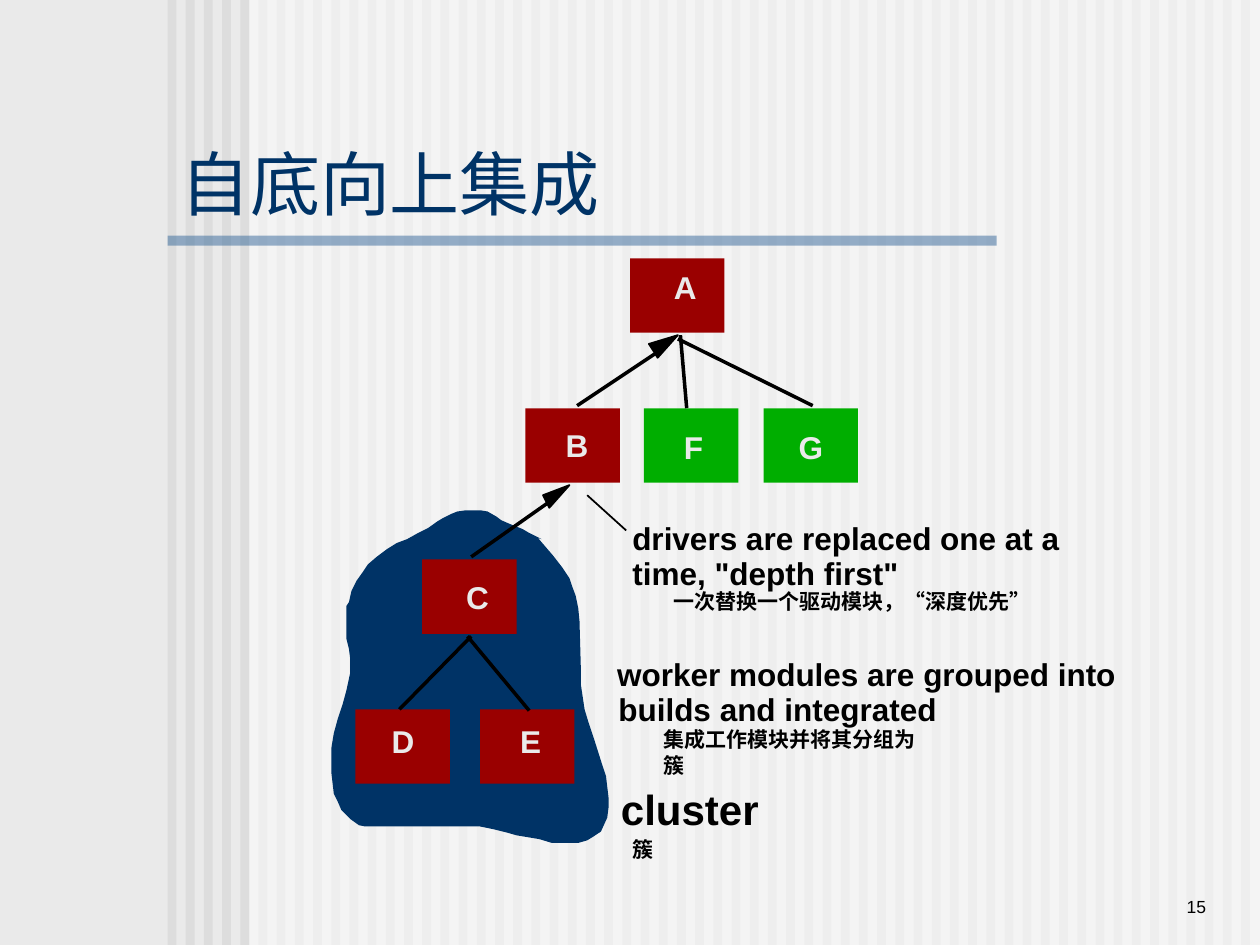
import pptx
import pptx.util
import pptx.dml.color
import pptx.enum.shapes
import pptx.enum.text
import pptx.oxml
import pptx.oxml.ns

PX = 9144  # 100 px to the inch
WIDTH, HEIGHT = 1000, 750
FONT = "Arial"
COLORS = {"back": "EAEAEA", "stripe": "DDDDDD", "veil": "FFFFFF", "rule": "336699",
          "title": "003366", "cluster": "003366", "driver": "9A0000", "stub": "00AE00",
          "label": "EAEAEA", "ink": "000000"}

TITLE = ("自底向上集成", (133, 117, 618, 55))
PAGE = ("15", (825, 683, 142, 50))
STRIPES = {"count": 60, "first": 133, "last": 985, "width": 7}
VEIL = (198, 0, 802, 750)
RULE = (133, 187, 658, 8)

NODE_SIZE = (75, 59)
NODES = [  # name, colour, node corner, label box
    ("A", "driver", (500, 205), (525, 208, 38, 40)),
    ("B", "driver", (417, 324), (439, 333, 38, 40)),
    ("C", "driver", (335, 444), (360, 454, 38, 40)),
    ("D", "driver", (282, 563), (301, 568, 38, 40)),
    ("E", "driver", (381, 563), (403, 568, 37, 40)),
    ("F", "stub", (511, 324), (533, 335, 35, 40)),
    ("G", "stub", (606, 324), (624, 335, 39, 40)),
]
LINES = [  # from, to, points
    ((521, 280), (458, 322), 2),
    ((435, 399), (374, 442), 2),
    ((374, 505), (317, 563), 2),
    ((371, 505), (420, 564), 2),
    ((540, 266), (545, 324), 2),
    ((538, 269), (645, 322), 2),
    ((466, 393), (497, 421), 1),
]
ARROWHEADS = [
    [(538, 266), (522, 284), (519, 279), (515, 273)],
    [(452, 385), (436, 403), (433, 397), (431, 393)],
]
NOTES = [  # text, points, box
    ("一次替换一个驱动模块，“深度优先”", 12, (525, 462, 303, 30)),
    ("集成工作模块并将其分组为簇", 12, (517, 572, 236, 30)),
    ("簇", 12, (492, 659, 36, 30)),
    ("drivers are replaced one at a", 18, (492, 407, 366, 40)),
    ('time, "depth first"', 18, (492, 435, 231, 40)),
    ("worker modules are grouped into", 18, (480, 515, 423, 40)),
    ("builds and integrated", 18, (481, 543, 273, 40)),
    ("cluster", 24, (483, 617, 129, 50)),
]
CLUSTER = [
    (430, 428), (420, 423), (415, 420), (405, 416), (398, 413), (394, 410), (387, 406),
    (381, 405), (370, 405), (363, 406), (358, 408), (352, 411), (347, 414), (340, 419),
    (332, 423), (323, 428), (315, 431), (307, 436), (299, 442), (292, 448), (288, 454),
    (283, 461), (279, 469), (277, 478), (275, 481), (275, 507), (277, 515), (278, 523),
    (278, 534), (275, 548), (272, 559), (268, 571), (265, 582), (263, 594), (263, 613),
    (265, 630), (268, 636), (271, 643), (278, 650), (285, 655), (290, 656), (381, 656),
    (391, 658), (403, 661), (410, 663), (428, 666), (438, 669), (459, 669), (466, 667),
    (471, 664), (477, 660), (482, 649), (483, 641), (483, 633), (481, 616), (478, 607),
    (472, 588), (467, 573), (464, 563), (461, 543), (461, 529), (460, 493), (459, 483),
    (457, 473), (454, 465), (452, 459), (446, 450), (439, 441), (427, 427),
]


def rgb(name):
    return pptx.dml.color.RGBColor.from_string(COLORS[name])


def emu(values):
    return [round(v * PX) for v in values]


def paint(shape, color, alpha=None):
    shape.shadow.inherit = False
    shape.fill.solid()
    shape.fill.fore_color.rgb = rgb(color)
    shape.line.fill.background()
    if alpha:
        node = shape.fill._xPr.find(".//" + pptx.oxml.ns.qn("a:srgbClr"))
        node.append(pptx.oxml.parse_xml(
            f'<a:alpha {pptx.oxml.ns.nsdecls("a")} val="{alpha * 1000}"/>'))
    return shape


def add_rect(s, box, color, alpha=None):
    kind = pptx.enum.shapes.MSO_SHAPE.RECTANGLE
    return paint(s.shapes.add_shape(kind, *emu(box)), color, alpha)


def add_outline(s, points, color):
    builder = s.shapes.build_freeform(*points[0], scale=PX)
    builder.add_line_segments(points[1:], close=True)
    return paint(builder.convert_to_shape(), color)


def add_line(s, start, end, points):
    kind = pptx.enum.shapes.MSO_CONNECTOR.STRAIGHT
    line = s.shapes.add_connector(kind, *emu(start + end))
    line.line.color.rgb = rgb("ink")
    line.line.width = pptx.util.Pt(points)
    line._element.spPr.append(pptx.oxml.parse_xml(
        f'<a:effectLst {pptx.oxml.ns.nsdecls("a")}/>'))


def write(shape, text, size, color, bold=False, align="LEFT", **frame):
    tf = shape.text_frame
    tf.text = text
    for name, value in frame.items():
        setattr(tf, name, value)
    p = tf.paragraphs[0]
    p.alignment = pptx.enum.text.PP_ALIGN[align]
    font = p.runs[0].font
    for name, value in {"name": FONT, "size": pptx.util.Pt(size), "bold": bold}.items():
        setattr(font, name, value)
    font.color.rgb = rgb(color)


def add_text(s, box, text, size, color, **formats):
    write(s.shapes.add_textbox(*emu(box)), text, size, color, **formats)


def add_backdrop(s):
    s.background.fill.solid()
    s.background.fill.fore_color.rgb = rgb("back")
    pitch = (STRIPES["last"] - STRIPES["first"]) / (STRIPES["count"] - 1)
    for i in range(STRIPES["count"]):
        left = STRIPES["first"] + i * pitch
        add_rect(s, (left, 0, STRIPES["width"], HEIGHT), "stripe")
    add_rect(s, VEIL, "veil", alpha=50)
    add_rect(s, RULE, "rule", alpha=50)


def add_title(s):
    text, box = TITLE
    title = s.shapes.title
    for name, value in zip(("left", "top", "width", "height"), emu(box)):
        setattr(title, name, value)
    write(title, text, 40, "title", word_wrap=True,
          vertical_anchor=pptx.enum.text.MSO_ANCHOR.MIDDLE,
          auto_size=pptx.enum.text.MSO_AUTO_SIZE.NONE)
    title._element.getparent().append(title._element)  # in front of the stripes


def main():
    prs = pptx.Presentation()
    prs.slide_width, prs.slide_height = emu((WIDTH, HEIGHT))
    s = prs.slides.add_slide(prs.slide_layouts[5])
    add_backdrop(s)
    add_title(s)
    text, box = PAGE
    add_text(s, box, text, 10, "ink", align="RIGHT", word_wrap=True,
             vertical_anchor=pptx.enum.text.MSO_ANCHOR.BOTTOM)

    add_outline(s, CLUSTER, "cluster")
    for _, color, corner, _ in NODES:
        add_rect(s, corner + NODE_SIZE, color)
    for line in LINES:
        add_line(s, *line)
    for points in ARROWHEADS:
        head = add_outline(s, points, "ink")
        head.line.color.rgb = rgb("ink")
        head.line.width = pptx.util.Pt(1)

    fit = {"bold": True, "word_wrap": False,
           "auto_size": pptx.enum.text.MSO_AUTO_SIZE.SHAPE_TO_FIT_TEXT}
    for name, _, _, box in NODES:
        add_text(s, box, name, 18, "label", **fit)
    for text, size, box in NOTES:
        add_text(s, box, text, size, "ink", **fit)
    prs.save("out.pptx")


if __name__ == "__main__":
    main()
